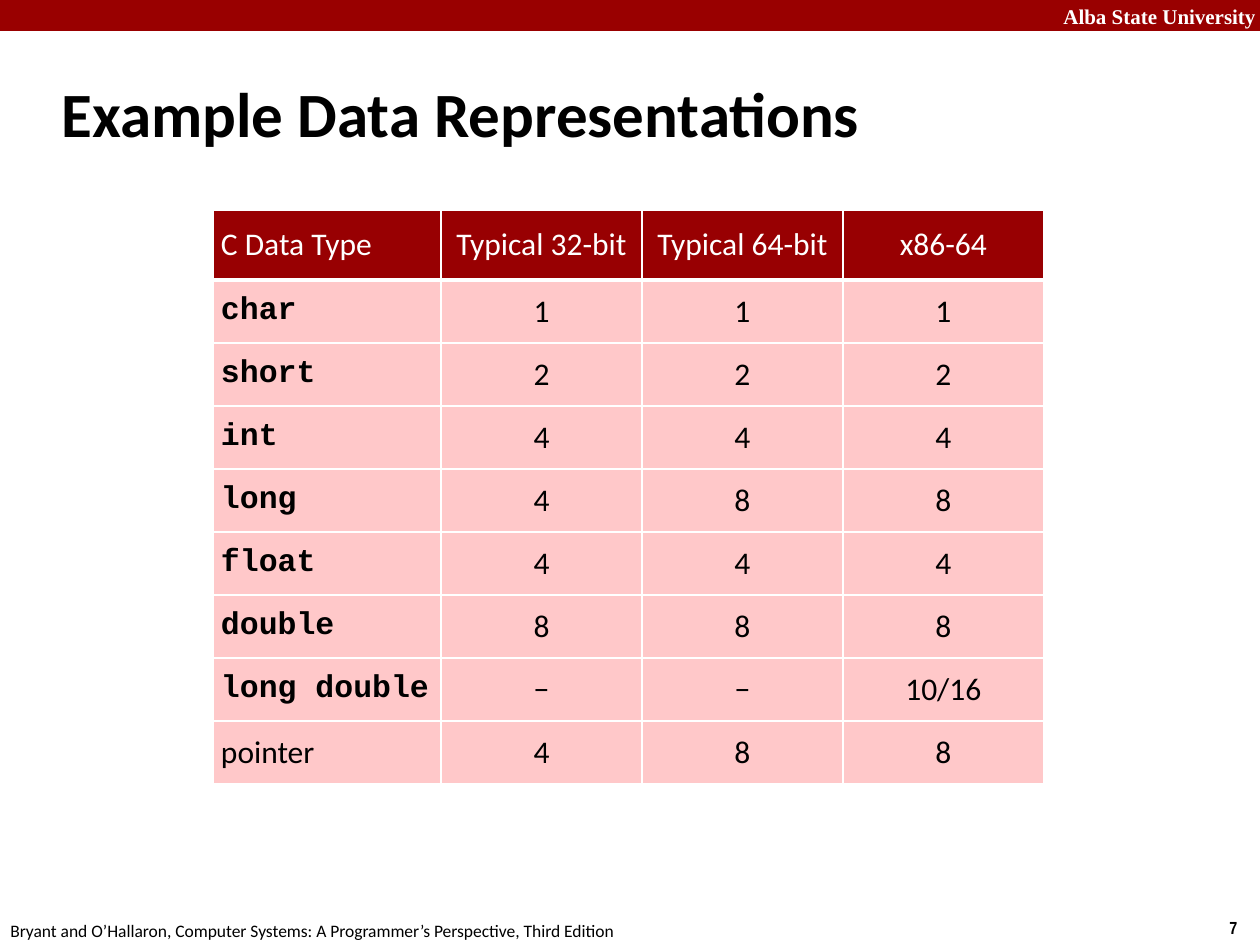
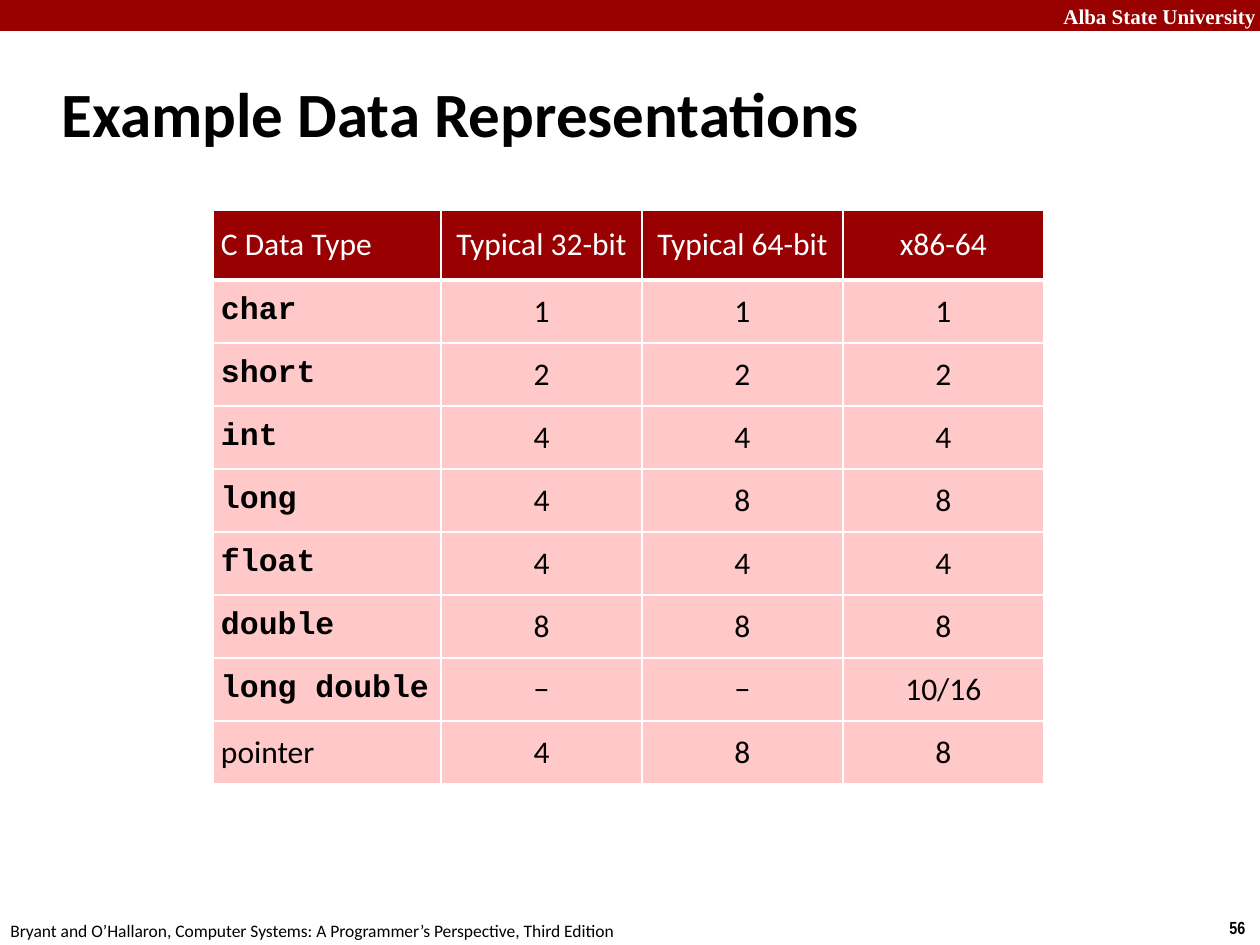
from lxml.etree import SubElement
from pptx import Presentation
from pptx.dml.color import RGBColor
from pptx.enum.shapes import MSO_SHAPE
from pptx.enum.text import MSO_ANCHOR, MSO_AUTO_SIZE, PP_ALIGN
from pptx.oxml import parse_xml
from pptx.oxml.ns import nsdecls, qn
from pptx.util import Pt

PX = 914400 / 126
BAND, HEADER, CELL = "990000", "980002", "FFC8C9"
WHITE, BLACK = "FFFFFF", "000000"
COLUMNS = [228, 201, 201, 201]
HEADER_H, ROW_H = 70, 63
ROWS = [
    ["C Data Type", "Typical 32-bit", "Typical 64-bit", "x86-64"],
    ["char", "1", "1", "1"],
    ["short", "2", "2", "2"],
    ["int", "4", "4", "4"],
    ["long", "4", "8", "8"],
    ["float", "4", "4", "4"],
    ["double", "8", "8", "8"],
    ["long double", "−", "−", "10/16"],
    ["pointer", "4", "8", "8"],
]


def emu(*lengths):
    return [round(n * PX) for n in lengths]


def write(tf, text, size=18, font="Calibri", color=BLACK, bold=False, align=PP_ALIGN.LEFT):
    p = tf.paragraphs[0]
    p.alignment = align
    r = p.add_run()
    r.text = text
    r.font.size = Pt(size)
    r.font.name = font
    r.font.bold = bold
    r.font.color.rgb = RGBColor.from_string(color)
    return p


prs = Presentation()
prs.slide_width, prs.slide_height = emu(1260, 945)

for number in ["7", "56"]:
    s = prs.slides.add_slide(prs.slide_layouts[5])

    band = s.shapes.add_shape(MSO_SHAPE.RECTANGLE, *emu(0, 0, 1260, 31))
    band.shadow.inherit = False
    band.fill.solid()
    band.fill.fore_color.rgb = RGBColor.from_string(BAND)
    band.line.fill.background()

    for box, text, style in [
        ((1051, -3, 218, 38), "Alba State University",
         dict(size=12, font="Times New Roman", color=WHITE, bold=True)),
        ((1217, 911, 43, 34), number, dict(size=10, font="Arial Narrow", bold=True)),
        ((-2, 914, 640, 34),
         "Bryant and O’Hallaron, Computer Systems: A Programmer’s Perspective, Third Edition",
         dict(size=10)),
    ]:
        tf = s.shapes.add_textbox(*emu(*box)).text_frame
        tf.word_wrap = True
        write(tf, text, **style)

    title = s.shapes.title
    title.left, title.top, title.width, title.height = emu(49, 60, 1046, 105)
    tf = title.text_frame
    tf.auto_size = MSO_AUTO_SIZE.NONE
    tf.vertical_anchor = MSO_ANCHOR.MIDDLE
    p = write(tf, "Example Data Representations", size=36, bold=True)
    indent, = emu(16)
    p._p.get_or_add_pPr().set("marL", str(indent))
    p._p.get_or_add_pPr().set("indent", str(-indent))

    height = HEADER_H + ROW_H * (len(ROWS) - 1)
    table = s.shapes.add_table(
        len(ROWS), len(COLUMNS), *emu(213, 210, sum(COLUMNS), height)).table
    table.horz_banding = False
    for column, width in zip(table.columns, emu(*COLUMNS)):
        column.width = width
    for i, row in enumerate(ROWS):
        table.rows[i].height, = emu(ROW_H if i else HEADER_H)
        for j, text in enumerate(row):
            cell = table.cell(i, j)
            cell.vertical_anchor = MSO_ANCHOR.MIDDLE
            cell.margin_left, cell.margin_top, cell.margin_right, cell.margin_bottom = emu(8, 8, 8, 8)
            cell.fill.solid()
            cell.fill.fore_color.rgb = RGBColor.from_string(CELL if i else HEADER)
            code = j == 0 and 0 < i < len(ROWS) - 1
            write(cell.text_frame, text,
                  font="Courier New" if code else "Calibri",
                  color=BLACK if i else WHITE, bold=code,
                  align=PP_ALIGN.CENTER if j else PP_ALIGN.LEFT)
            under_header = {(0, "lnB"), (1, "lnT")}
            for k, side in enumerate(["lnL", "lnR", "lnT", "lnB"]):
                ln = parse_xml(f"<a:{side} {nsdecls('a')}/>")
                ln.set("w", str(Pt(3 if (i, side) in under_header else 1)))
                fill = SubElement(ln, qn("a:solidFill"))
                SubElement(fill, qn("a:srgbClr")).set("val", WHITE)
                cell._tc.get_or_add_tcPr().insert(k, ln)

prs.save("out.pptx")
